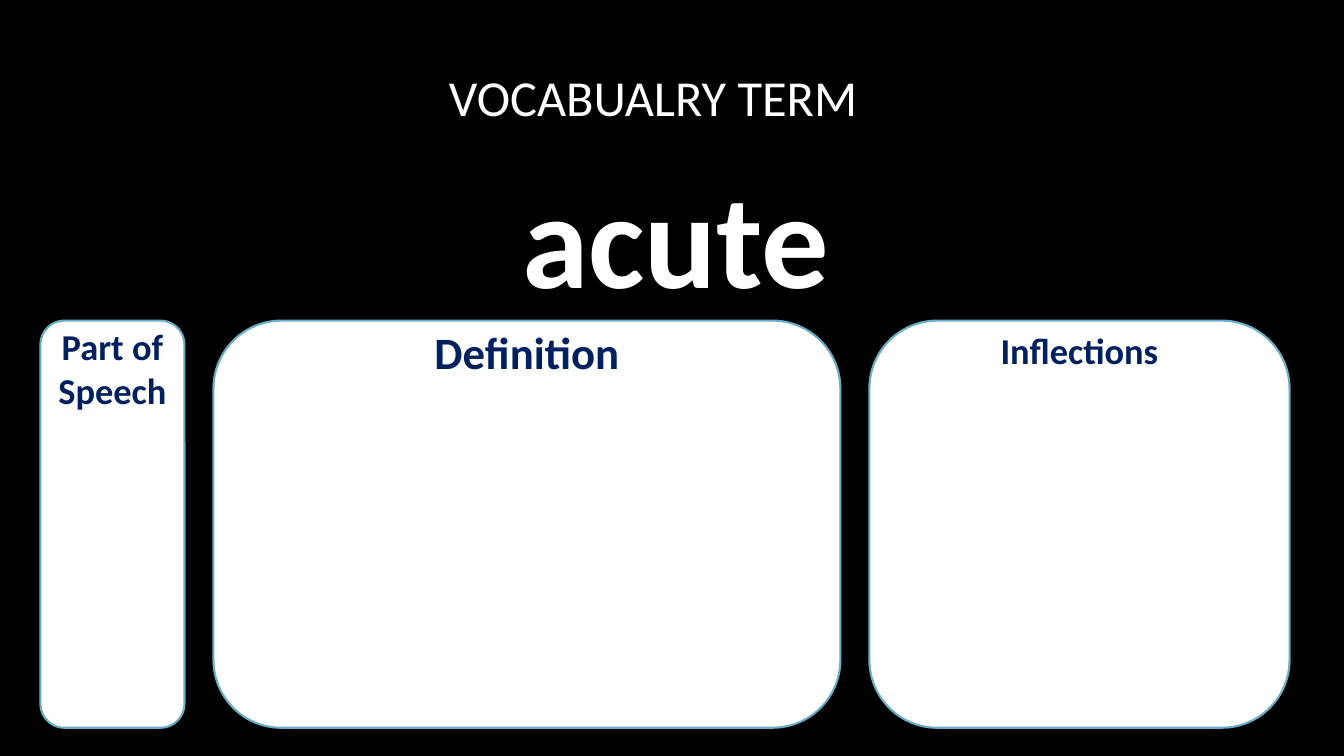
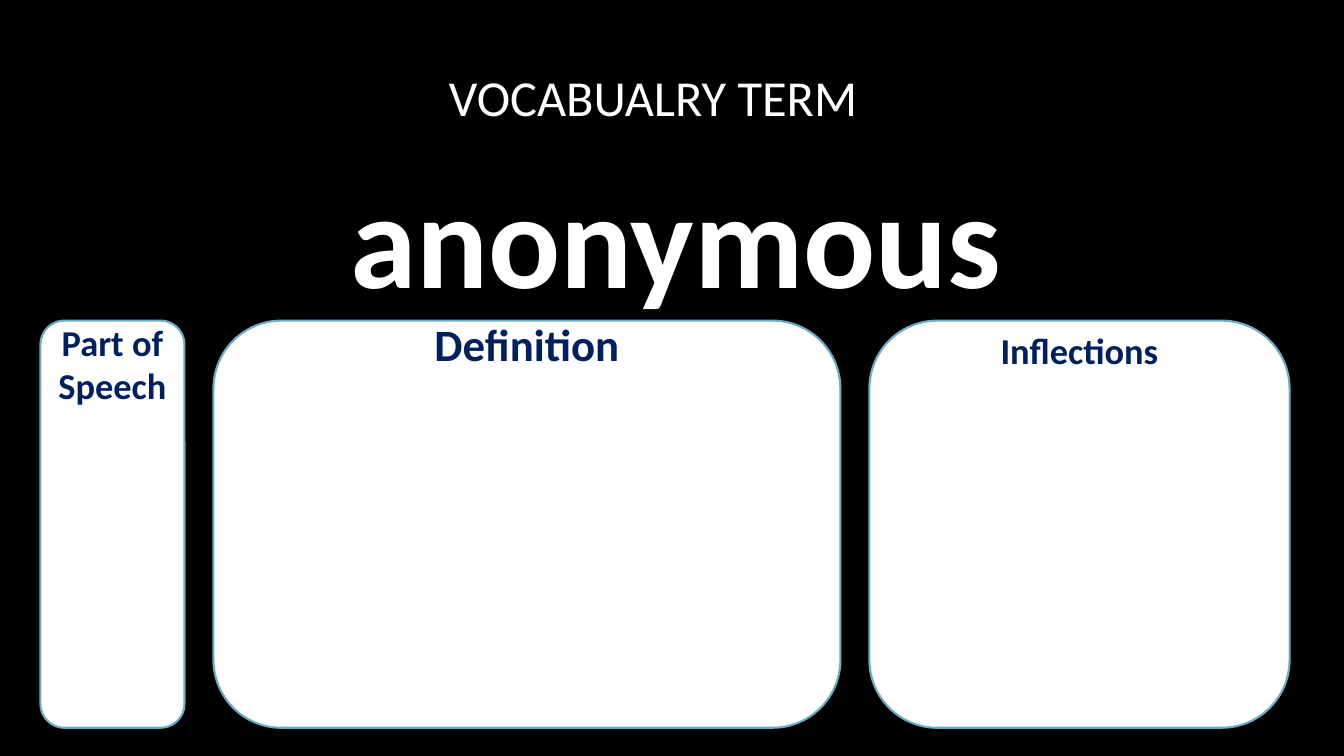
from dataclasses import dataclass

from pptx import Presentation
from pptx.dml.color import RGBColor
from pptx.enum.shapes import MSO_SHAPE
from pptx.enum.text import MSO_ANCHOR, PP_ALIGN
from pptx.slide import Slide
from pptx.util import Cm, Pt


@dataclass(frozen=True)
class Theme:
    font: str = "Calibri"
    background: RGBColor = RGBColor(0x00, 0x00, 0x00)
    light: RGBColor = RGBColor(0xFF, 0xFF, 0xFF)
    heading: RGBColor = RGBColor(0x00, 0x20, 0x60)
    outline: RGBColor = RGBColor(0x6A, 0xAD, 0xC8)
    title_size: int = 36
    term_size: int = 96
    heading_size: int = 26
    definition_size: int = 32
    outline_width: float = 1.5


@dataclass(frozen=True)
class Box:
    left: float
    top: float
    width: float
    height: float


@dataclass(frozen=True)
class Card:
    heading: str
    width: float
    size: int


@dataclass(frozen=True)
class Term:
    word: str
    heading_offsets: tuple[float, ...]  # cm below the card top, one per card


THEME = Theme()
TITLE = Box(2.39, 1.2, 28.14, 2.44)
TERM = Box(2.97, 3.68, 28.14, 4.47)

# Card row, in cm
CARDS_LEFT, CARDS_TOP, CARD_HEIGHT, CARD_GAP = 1.02, 8.08, 10.26, 0.73
CARDS = (
    Card("Part of Speech", 3.63, THEME.heading_size),
    Card("Definition", 15.8, THEME.definition_size),
    Card("Inflections", 10.59, THEME.heading_size),
)

TERMS = (
    Term("acute", (0.1, 0.1, 0.2)),
    Term("anonymous", (-0.02, -0.1, 0.2)),
)


def add_text(s: Slide, box: Box, text: str, size: int, color: RGBColor,
             bold: bool = True, anchor: MSO_ANCHOR = MSO_ANCHOR.MIDDLE) -> None:
    """Add a centred one-paragraph text box without vertical insets."""
    sp = s.shapes.add_textbox(Cm(box.left), Cm(box.top), Cm(box.width), Cm(box.height))
    tf = sp.text_frame
    tf.word_wrap = True
    tf.vertical_anchor = anchor
    tf.margin_top = tf.margin_bottom = 0
    p = tf.paragraphs[0]
    p.text = text
    p.alignment = PP_ALIGN.CENTER
    p.font.name = THEME.font
    p.font.size = Pt(size)
    p.font.bold = bold
    p.font.color.rgb = color


def add_card(s: Slide, card: Card, left: float, heading_offset: float) -> None:
    """Draw a rounded card with its heading near the top edge."""
    sp = s.shapes.add_shape(MSO_SHAPE.ROUNDED_RECTANGLE, Cm(left), Cm(CARDS_TOP),
                            Cm(card.width), Cm(CARD_HEIGHT))
    sp.shadow.inherit = False
    sp.fill.solid()
    sp.fill.fore_color.rgb = THEME.light
    sp.line.color.rgb = THEME.outline
    sp.line.width = Pt(THEME.outline_width)
    heading = Box(left, CARDS_TOP + heading_offset, card.width, 2.4)
    add_text(s, heading, card.heading, card.size, THEME.heading, anchor=MSO_ANCHOR.TOP)


def add_term_slide(prs: Presentation, term: Term) -> None:
    s = prs.slides.add_slide(prs.slide_layouts[6])
    s.background.fill.solid()
    s.background.fill.fore_color.rgb = THEME.background

    # Title and term
    add_text(s, TITLE, "VOCABUALRY TERM", THEME.title_size, THEME.light, bold=False)
    add_text(s, TERM, term.word, THEME.term_size, THEME.light)

    # Cards, left to right
    left = CARDS_LEFT
    for card, offset in zip(CARDS, term.heading_offsets):
        add_card(s, card, left, offset)
        left += card.width + CARD_GAP


def main() -> None:
    prs = Presentation()
    prs.slide_width, prs.slide_height = Cm(33.87), Cm(19.05)
    for term in TERMS:
        add_term_slide(prs, term)
    prs.save("out.pptx")


if __name__ == "__main__":
    main()
